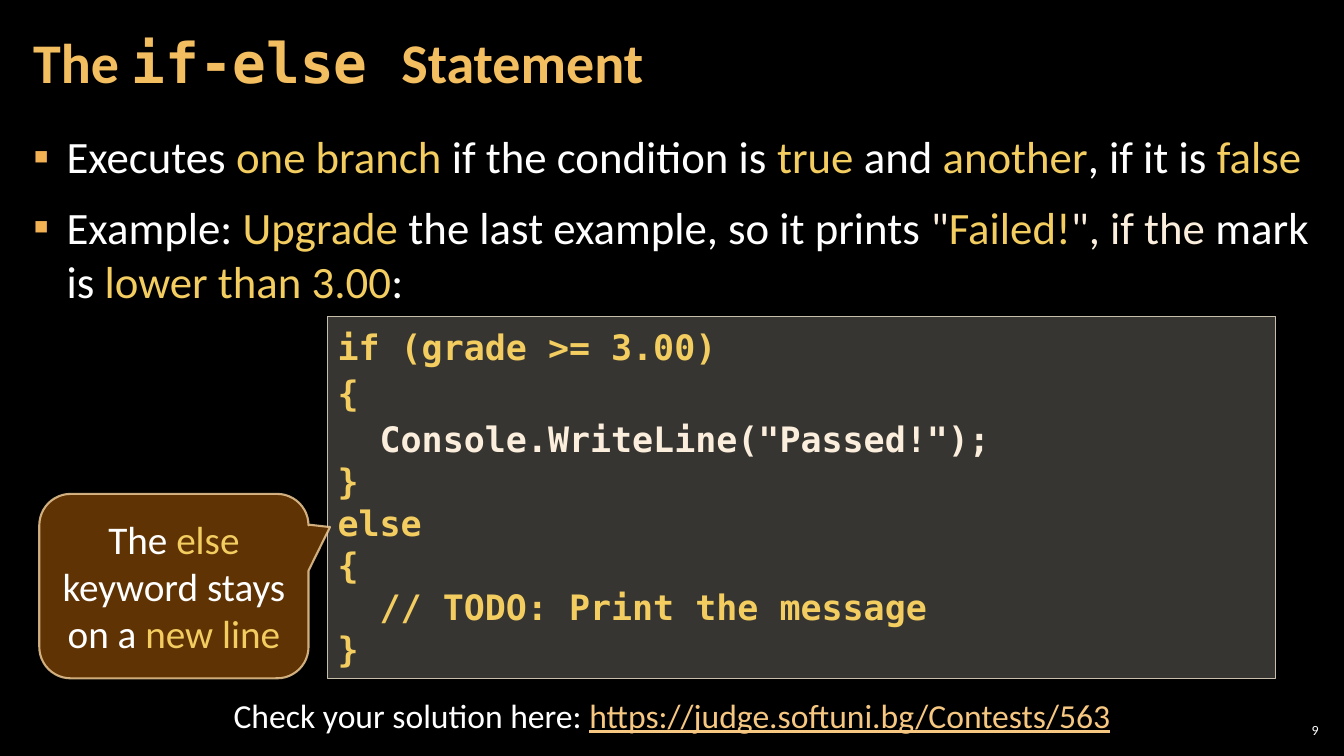
from lxml import etree
from pptx import Presentation
from pptx import util as u
from pptx.dml.color import RGBColor
from pptx.enum import shapes, text
from pptx.oxml.ns import qn

PX = 9144  # 100 px to the inch
SANS, MONO = "Calibri", "DejaVu Sans Mono"
COLORS = {
    "back": "000000", "white": "FFFFFF", "gold": "F3CD60", "cream": "FBEEDC",
    "title": "F3BE60", "bullet": "F2B254", "link": "F6C781",
    "code_fill": "D9D5C7", "code_line": "C7BFAC",
    "callout_fill": "663606", "callout_line": "F8D49E",
}


def rgb(name):
    return RGBColor.from_string(COLORS[name])


def emu(box):
    return [u.Emu(n * PX) for n in box]


def add_run(p, words, size, color, font=SANS, bold=False, underline=False):
    r = p.add_run()
    r.text = words
    r.font.size, r.font.name = u.Pt(size), font
    r.font.color.rgb = rgb(color)
    r.font.bold, r.font.underline = bold, underline


def add_text(slide, box, anchor=text.MSO_ANCHOR.TOP, inset=(10, 5)):
    """Add a wrapping text box and return its text frame."""
    tf = slide.shapes.add_textbox(*emu(box)).text_frame
    tf.word_wrap, tf.vertical_anchor = True, anchor
    tf.margin_left = tf.margin_right = u.Emu(inset[0] * PX)
    tf.margin_top = tf.margin_bottom = u.Emu(inset[1] * PX)
    return tf


def set_alpha(color_format_parent, percent):
    color = next(color_format_parent.iter(qn("a:srgbClr")))
    etree.SubElement(color, qn("a:alpha"), val=str(percent * 1000))


def add_panel(slide, kind, box, name, fill_alpha, line_alpha, width):
    """Add a translucent, outlined shape coloured by its name."""
    sp = slide.shapes.add_shape(kind, *emu(box))
    sp.shadow.inherit = False
    sp.fill.solid()
    sp.fill.fore_color.rgb = rgb(name + "_fill")
    sp.line.color.rgb = rgb(name + "_line")
    sp.line.width = u.Pt(width)
    props = sp._element.spPr
    set_alpha(props.find(qn("a:solidFill")), fill_alpha)
    set_alpha(props.find(qn("a:ln")), line_alpha)
    sp.text_frame.word_wrap = True
    return sp


def add_title(slide, box):
    p = add_text(slide, box, text.MSO_ANCHOR.MIDDLE, (12, 4)).paragraphs[0]
    p.line_spacing = 0.9
    for words, font in (("The ", SANS), ("if-else ", MONO), ("Statement", SANS)):
        add_run(p, words, 40, "title", font, bold=True)


def add_bullets(slide, box):
    items = [
        [("Executes ", "white"), ("one branch ", "gold"),
         ("if the condition is ", "white"), ("true", "gold"), (" and ", "white"),
         ("another", "gold"), (", if it is ", "white"), ("false", "gold")],
        [("Example: ", "white"), ("Upgrade", "gold"),
         (" the last example, so it prints ", "white"), ('"', "cream"),
         ("Failed!", "gold"), ('", if the', "cream"), (" mark is ", "white"),
         ("lower than 3.00", "gold"), (":", "white")],
    ]
    tf = add_text(slide, box, inset=(12, 4))
    for i, runs in enumerate(items):
        p = tf.add_paragraph() if i else tf.paragraphs[0]
        p.space_before, p.space_after = u.Pt(6 if i else 0), u.Pt(6)
        pPr = p._p.get_or_add_pPr()
        pPr.set("marL", str(33 * PX))
        pPr.set("indent", str(-33 * PX))
        color = etree.SubElement(pPr, qn("a:buClr"))
        etree.SubElement(color, qn("a:srgbClr"), val=COLORS["bullet"])
        etree.SubElement(pPr, qn("a:buFont"), typeface=SANS)
        etree.SubElement(pPr, qn("a:buChar"), char="▪")
        for words, color_name in runs:
            add_run(p, words, 32, color_name)


def add_code(slide, box):
    lines = [
        ("if (grade >= 3.00)", "gold", 1.1),
        ("{", "gold", 1.1),
        ('  Console.WriteLine("Passed!");', "cream", 1.1),
        ("}", "gold", 1.0),
        ("else", "gold", 1.0),
        ("{", "gold", 1.0),
        ("  // TODO: Print the message", "gold", 1.0),
        ("}", "gold", 1.0),
    ]
    sp = add_panel(slide, shapes.MSO_SHAPE.RECTANGLE, box, "code", 25, 100, 1)
    tf = sp.text_frame
    tf.vertical_anchor = text.MSO_ANCHOR.TOP
    for i, (words, color, spacing) in enumerate(lines):
        p = tf.add_paragraph() if i else tf.paragraphs[0]
        p.alignment, p.line_spacing = text.PP_ALIGN.LEFT, spacing
        add_run(p, words, 25, color, MONO, bold=True)


def add_callout(slide, box):
    kind = shapes.MSO_SHAPE.ROUNDED_RECTANGULAR_CALLOUT
    sp = add_panel(slide, kind, box, "callout", 95, 80, 1.5)
    for i, value in enumerate((0.58, -0.32, 0.17)):
        sp.adjustments[i] = value
    tf = sp.text_frame
    tf.vertical_anchor = text.MSO_ANCHOR.MIDDLE
    p = tf.paragraphs[0]
    p.alignment = text.PP_ALIGN.CENTER
    for words, color in (("The ", "white"), ("else ", "gold"),
                         ("keyword stays on a", "white"), (" new line", "gold")):
        add_run(p, words, 28, color)


def add_solution_note(slide, box):
    p = add_text(slide, box).paragraphs[0]
    p.alignment = text.PP_ALIGN.CENTER
    add_run(p, "Check your solution here: ", 24, "white")
    add_run(p, "https://judge.softuni.bg/Contests/563", 24, "link", underline=True)


def add_page_number(slide, box):
    p = add_text(slide, box, text.MSO_ANCHOR.MIDDLE, (4, 4)).paragraphs[0]
    p.alignment = text.PP_ALIGN.RIGHT
    add_run(p, "9", 10, "white")


def main():
    prs = Presentation()
    prs.slide_width, prs.slide_height = emu((1333, 750))
    slide = prs.slides.add_slide(prs.slide_layouts[6])
    slide.background.fill.solid()
    slide.background.fill.fore_color.rgb = rgb("back")
    add_page_number(slide, (1265, 714, 47, 21))
    add_bullets(slide, (21, 124, 1291, 601))
    add_title(slide, (21, 4, 1047, 121))
    add_code(slide, (325, 314, 940, 359))
    add_solution_note(slide, (100, 684, 1133, 50))
    add_callout(slide, (39, 490, 267, 183))
    prs.save("out.pptx")


if __name__ == "__main__":
    main()
